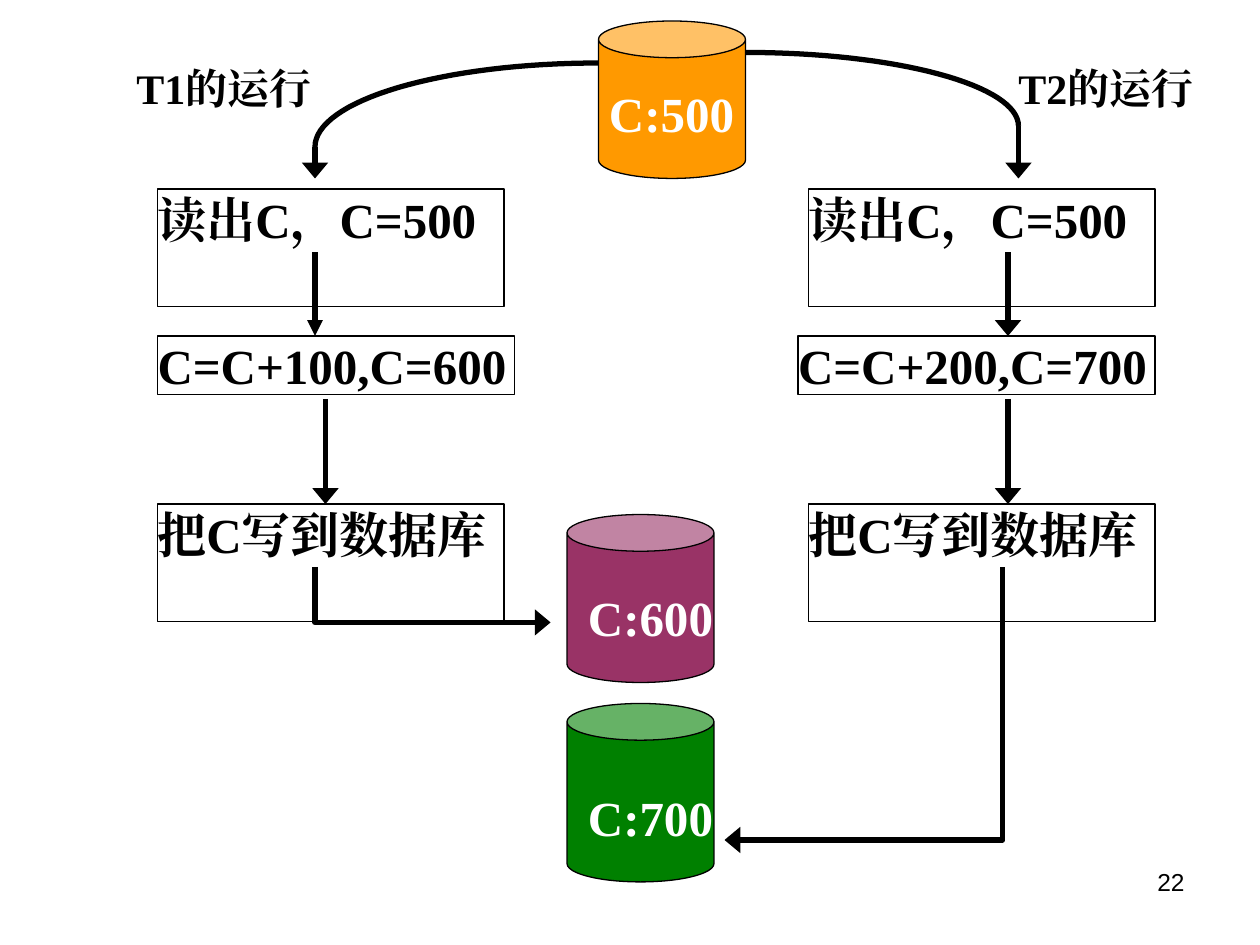
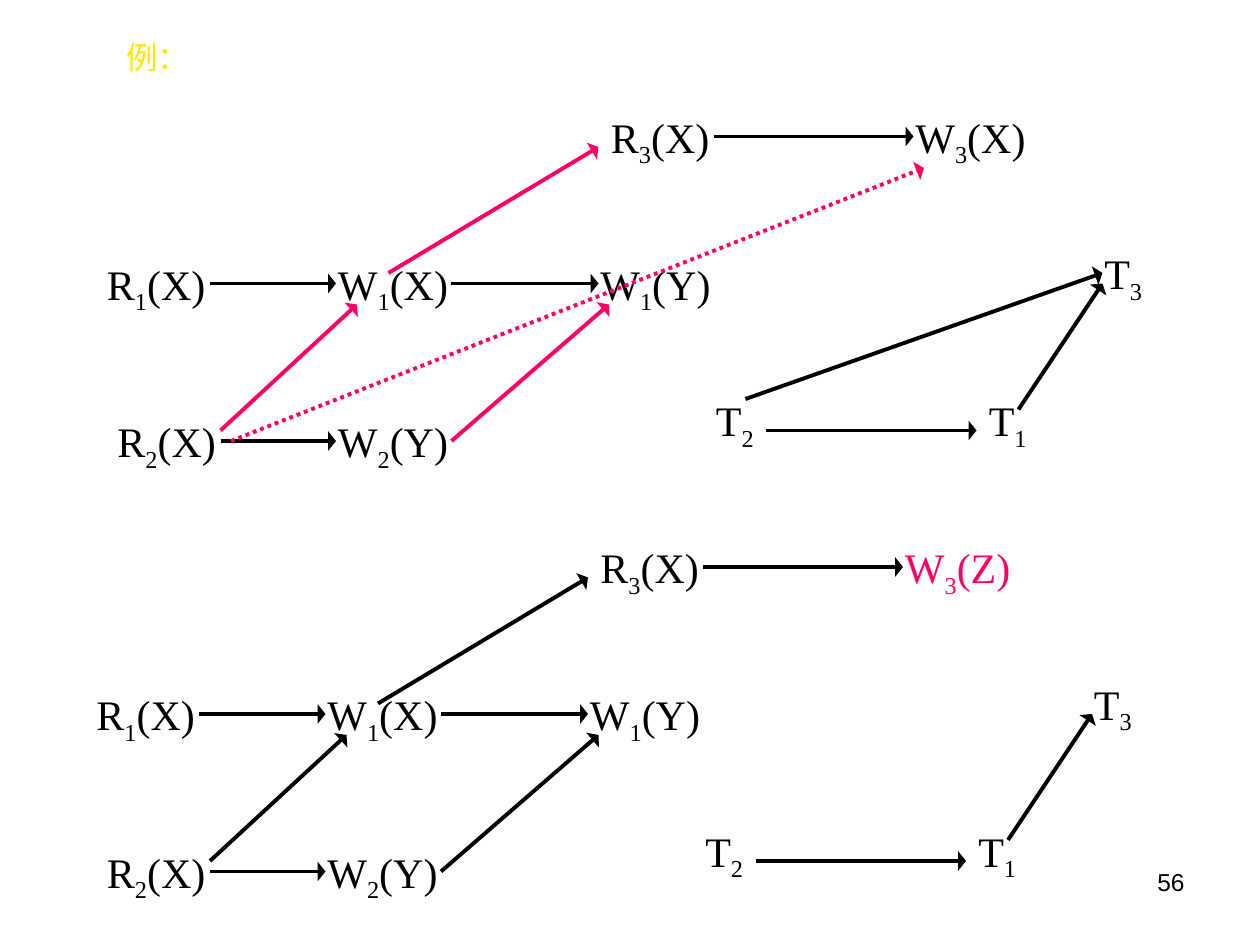
import math
from pptx import Presentation
from pptx.dml.color import RGBColor
from pptx.enum.dml import MSO_LINE
from pptx.enum.shapes import MSO_CONNECTOR, MSO_SHAPE
from pptx.enum.text import MSO_ANCHOR, PP_ALIGN
from pptx.oxml.ns import qn
from pptx.oxml.xmlchemy import OxmlElement
from pptx.util import Pt

STRAIGHT, ELBOW = MSO_CONNECTOR.STRAIGHT, MSO_CONNECTOR.ELBOW
CAN, RECTANGLE = MSO_SHAPE.CAN, MSO_SHAPE.RECTANGLE
LEFT, CENTER, RIGHT = PP_ALIGN.LEFT, PP_ALIGN.CENTER, PP_ALIGN.RIGHT
TOP = MSO_ANCHOR.TOP
DOTTED = MSO_LINE.ROUND_DOT

COLORS = {
    "ink": "000000",
    "white": "FFFFFF",
    "initial": "FF9900",
    "first_write": "993366",
    "second_write": "008000",
    "conflict": "FF0066",
    "heading": "FFE701",
}
SERIF, SANS, CJK = "Times New Roman", "Arial", "Noto Sans CJK SC"
TITLE_ONLY, BLANK = 5, 6


def points(*lengths):
    return [Pt(length) for length in lengths]


class Deck:
    def __init__(self):
        self.file = Presentation()
        self.file.slide_width, self.file.slide_height = points(720, 540)
        self.slide = None

    def new_slide(self, layout, number):
        self.slide = self.file.slides.add_slide(self.file.slide_layouts[layout])
        self.text(number, (516, 492, 168, 37), 14, font=SANS, align=RIGHT, inset=True)

    def color(self, name):
        return RGBColor.from_string(COLORS[name])

    def style_run(self, run, size, color="ink", font=SERIF, bold=False):
        run.font.size = Pt(size)
        run.font.name = font
        run.font.bold = bold
        run.font.color.rgb = self.color(color)
        east_asian = OxmlElement("a:ea")
        east_asian.set("typeface", font)
        run.font._element.find(qn("a:latin")).addnext(east_asian)

    def fill_frame(self, frame, text, size, align=LEFT, inset=False, **style):
        frame.word_wrap = True
        frame.vertical_anchor = TOP
        if not inset:
            frame.margin_left = frame.margin_right = 0
            frame.margin_top = frame.margin_bottom = 0
        frame.text = text
        paragraph = frame.paragraphs[0]
        paragraph.alignment = align
        for run in paragraph.runs:
            self.style_run(run, size, **style)

    def title(self, text, box):
        heading = self.slide.shapes.title
        heading.left, heading.top, heading.width, heading.height = points(*box)
        self.fill_frame(heading.text_frame, text, 18, CENTER, True, color="heading", font=CJK)
        heading.text_frame.word_wrap = False

    def text(self, text, box, size, **style):
        frame = self.slide.shapes.add_textbox(*points(*box)).text_frame
        self.fill_frame(frame, text, size, **style)

    def outline(self, shape, width):
        shape.shadow.inherit = False
        shape.line.color.rgb = self.color("ink")
        shape.line.width = Pt(width)

    def step(self, text, box):
        step = self.slide.shapes.add_shape(RECTANGLE, *points(*box))
        step.fill.background()
        self.outline(step, 0.75)
        self.fill_frame(step.text_frame, text, 28, bold=True)

    def database(self, value, box, color, label_at):
        store = self.slide.shapes.add_shape(CAN, *points(*box))
        store.adjustments[0] = 0.25
        store.fill.solid()
        store.fill.fore_color.rgb = self.color(color)
        self.outline(store, 0.75)
        self.text(value, (*label_at, 72, 33.6), 28, color="white", bold=True)

    def operation(self, name, left, top, color="ink"):
        width = 84 if "(" in name else 42
        box = self.slide.shapes.add_textbox(*points(left, top, width, 40))
        box.text_frame.word_wrap = True
        paragraph = box.text_frame.paragraphs[0]
        for part in filter(None, (name[0], name[1], name[2:])):
            run = paragraph.add_run()
            run.text = part
            self.style_run(run, 24, color)
            if part.isdigit():
                run.font._element.set("baseline", "-25000")

    def finish_arrow(self, arrow, width, color, head, dash=None):
        arrow.line.color.rgb = self.color(color)
        arrow.line.width = Pt(width)
        if dash:
            arrow.line.dash_style = dash
        tip = OxmlElement("a:tailEnd")
        for key, value in zip(("type", "w", "len"), ("triangle", *head)):
            tip.set(key, value)
        arrow.line._get_or_add_ln().append(tip)
        arrow._element.spPr.append(OxmlElement("a:effectLst"))

    def arrow(self, ends, width=3, color="ink", head=("lg", "med"), dash=None):
        arrow = self.slide.shapes.add_connector(STRAIGHT, *points(*ends))
        self.finish_arrow(arrow, width, color, head, dash)

    def down_then_across(self, x1, y1, x2, y2):
        width, height = y2 - y1, abs(x2 - x1)
        left, top = (x1 + x2 - width) / 2, (y1 + y2 - height) / 2
        arrow = self.slide.shapes.add_connector(
            ELBOW, *points(left, top, left + width, top + height))
        properties = arrow._element.spPr
        properties.find(qn("a:prstGeom")).set("prst", "bentConnector2")
        frame = properties.find(qn("a:xfrm"))
        frame.set("rot", str((270 if x2 > x1 else 90) * 60000))
        if x2 > x1:
            frame.set("flipH", "1")
        self.finish_arrow(arrow, 3, "ink", ("lg", "med"))

    def quarter_curve(self, x1, y1, x2, y2, segments=32):
        angles = [math.pi / 2 * i / segments for i in range(segments + 1)]
        curve = [(Pt(x1 + (x2 - x1) * math.sin(angle)),
                  Pt(y2 - (y2 - y1) * math.cos(angle))) for angle in angles]
        builder = self.slide.shapes.build_freeform(*curve[0])
        builder.add_line_segments(curve[1:], close=False)
        line = builder.convert_to_shape()
        line.fill.background()
        self.outline(line, 3)


def lost_update(deck):
    deck.new_slide(BLANK, "22")
    transactions = [
        ("T1的运行", 78, 90, 90, "C=C+100,C=600"),
        ("T2的运行", 582, 462, 456, "C=C+200,C=700"),
    ]
    for name, name_left, step_left, update_left, update in transactions:
        deck.step("读出C，C=500", (step_left, 108, 198, 67.2))
        deck.step(update, (update_left, 192, 204, 33.6))
        deck.step("把C写到数据库", (step_left, 288, 198, 67.2))
        deck.text(name, (name_left, 36, 102, 57.6), 24, bold=True)

    deck.database("C:600", (324, 294, 84, 96), "first_write", (336, 336))
    deck.database("C:700", (324, 402, 84, 102), "second_write", (336, 450))
    deck.database("C:500", (342, 12, 84, 90), "initial", (348, 48))

    deck.arrow((180, 144, 180, 192), head=("med", "med"))
    deck.arrow((576, 144, 576, 192))
    for update_x in (186, 576):
        deck.arrow((update_x, 228, update_x, 288))
    deck.down_then_across(180, 324, 314.64, 355.68)
    deck.down_then_across(573, 324, 414, 480)
    for start_x, start_y, read_x, bend_y in ((342, 36, 180, 84), (426, 30, 582, 72)):
        deck.quarter_curve(start_x, start_y, read_x, bend_y)
        deck.arrow((read_x, bend_y, read_x, 102))


OPERATIONS = [
    ("R1(X)", 54, 144), ("W1(X)", 186, 144), ("W1(Y)", 336, 144),
    ("R2(X)", 60, 234), ("W2(Y)", 186, 234), ("R3(X)", 342, 60),
    ("T2", 402, 222), ("T1", 558, 222), ("T3", 624, 138),
]
ORDER_ARROWS = [
    (120, 162, 192, 162), (126, 252, 192, 252), (258, 162, 342, 162),
    (408, 78, 522, 78), (438, 246, 558, 246), (582, 234, 630, 162),
]
CONFLICT_ARROWS = [
    (126, 246, 204, 174), (258, 252, 348, 174), (222, 156, 342, 84),
]
GRAPH_ARROW = {"width": 2.25, "head": ("lg", "sm")}


def precedence_graph(deck, dx, dy, last_write, last_color, conflict_color):
    for name, left, top in OPERATIONS:
        deck.operation(name, left + dx, top + dy)
    deck.operation(last_write, 516 + dx, 60 + dy, last_color)
    for arrows, color in ((ORDER_ARROWS, "ink"), (CONFLICT_ARROWS, conflict_color)):
        for x1, y1, x2, y2 in arrows:
            deck.arrow((x1 + dx, y1 + dy, x2 + dx, y2 + dy), color=color, **GRAPH_ARROW)


def serializability(deck):
    deck.new_slide(TITLE_ONLY, "56")
    deck.title("例：", (36, 18, 108, 66))
    precedence_graph(deck, -6, 246, "W3(Z)", "conflict", "ink")
    precedence_graph(deck, 0, 0, "W3(X)", "ink", "conflict")
    deck.arrow((426, 228, 630, 156), **GRAPH_ARROW)
    deck.arrow((132, 252, 528, 96), color="conflict", dash=DOTTED, **GRAPH_ARROW)


def main():
    deck = Deck()
    lost_update(deck)
    serializability(deck)
    deck.file.save("out.pptx")


if __name__ == "__main__":
    main()
